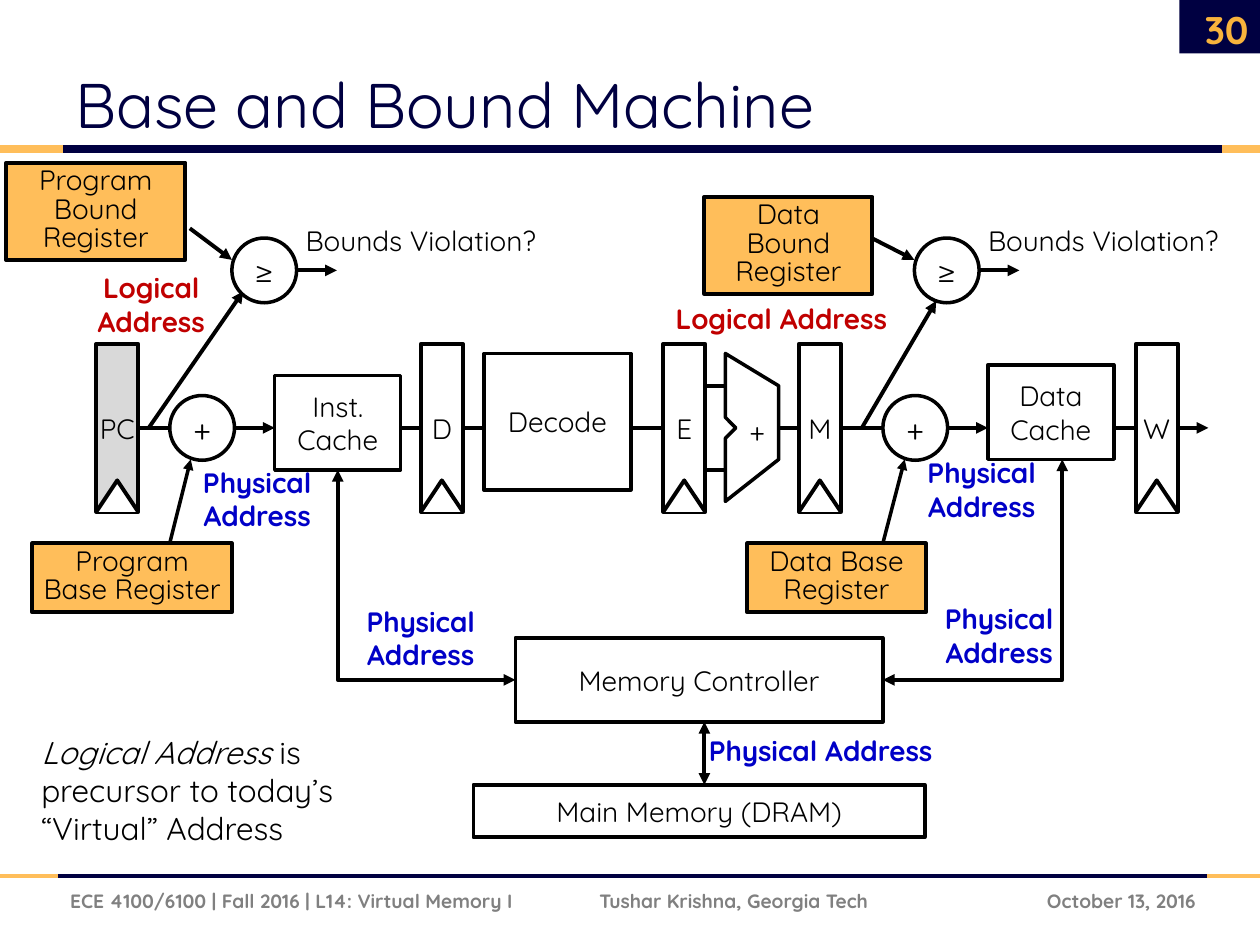
"""Build the Base and Bound Machine slide: a pipeline with address checks."""
from dataclasses import dataclass

from lxml.etree import SubElement
from pptx import Presentation
from pptx.dml.color import RGBColor
from pptx.enum.shapes import MSO_CONNECTOR, MSO_SHAPE
from pptx.enum.text import MSO_ANCHOR as ANCHOR, PP_ALIGN as ALIGN
from pptx.oxml.ns import qn
from pptx.util import Pt


@dataclass(frozen=True)
class Theme:
    font: str = "Quicksand"
    navy: str = "000041"
    gold: str = "FFBE5A"
    number: str = "F8B33C"
    black: str = "000000"
    white: str = "FFFFFF"
    gray: str = "D9D9D9"
    footer: str = "808080"
    logical: str = "C00000"
    physical: str = "0000C7"
    title_size: int = 36
    number_size: int = 22
    note_size: int = 18
    body_size: int = 16
    footer_size: int = 11
    thin: float = 2
    thick: float = 2.25
    rule: float = 4.5


T = Theme()
prs = Presentation()
prs.slide_width, prs.slide_height = Pt(720), Pt(540)
slide = prs.slides.add_slide(prs.slide_layouts[6])
shapes = slide.shapes


def node(at, runs=(), kind=None, fill=T.white, line=T.thin, size=T.body_size,
         color=T.black, bold=False, align=ALIGN.CENTER, anchor=ANCHOR.MIDDLE,
         wrap=True, inset=(7.2, 3.6), spacing=None, tab=None):
    box = [Pt(v) for v in at]
    if kind is None:
        item = shapes.add_textbox(*box)
    else:
        item = shapes.add_shape(kind, *box)
        item.shadow.inherit = False
        item.fill.solid()
        item.fill.fore_color.rgb = RGBColor.from_string(fill)
        if line:
            item.line.color.rgb = RGBColor.from_string(T.black)
            item.line.width = Pt(line)
        else:
            item.line.fill.background()
    frame = item.text_frame
    frame.word_wrap, frame.vertical_anchor = wrap, anchor
    frame.margin_left = frame.margin_right = Pt(inset[0])
    frame.margin_top = frame.margin_bottom = Pt(inset[1])
    paragraph = frame.paragraphs[0]
    paragraph.alignment = align
    if spacing:
        paragraph.line_spacing = spacing
    if tab:
        stops = SubElement(paragraph._p.get_or_add_pPr(), qn("a:tabLst"))
        SubElement(stops, qn("a:tab"), pos=str(Pt(tab)), algn="l")
    for words, italic in [(runs, False)] if isinstance(runs, str) else runs:
        run = paragraph.add_run()
        run.text = words
        run.font.name, run.font.size = T.font, Pt(size)
        run.font.bold, run.font.italic = bold, italic
        run.font.color.rgb = RGBColor.from_string(color)
    return item


def trace(points, ends="", color=T.black, width=T.thick, fill=None, close=False):
    points = [(Pt(x), Pt(y)) for x, y in points]
    if len(points) == 2:
        item = shapes.add_connector(MSO_CONNECTOR.STRAIGHT, *points[0], *points[1])
    else:
        builder = shapes.build_freeform(*points[0], scale=1.0)
        builder.add_line_segments(points[1:], close=close)
        item = builder.convert_to_shape()
        if fill:
            item.fill.solid()
            item.fill.fore_color.rgb = RGBColor.from_string(fill)
        else:
            item.fill.background()
    item.line.color.rgb = RGBColor.from_string(color)
    item.line.width = Pt(width)
    properties = item._element.spPr
    for end in ends.split():
        SubElement(properties.find(qn("a:ln")), qn(f"a:{end}End"), type="triangle")
    SubElement(properties, qn("a:effectLst"))
    return item


RECT, OVAL = MSO_SHAPE.RECTANGLE, MSO_SHAPE.OVAL
node((674, 0, 49, 30.5), kind=RECT, fill=T.navy, line=None)
for y, left, right, width in [(500.5, 33, 690, T.thick), (85, 36, 698.5, T.rule)]:
    for start, end, color in [(left, right, T.navy), (0, left, T.gold), (right, 720, T.gold)]:
        trace([(start, y), (end, y)], color=color, width=width)

node((36, 12, 589, 72), "Base and Bound Machine", size=T.title_size,
     color=T.navy, align=ALIGN.LEFT, anchor=ANCHOR.BOTTOM)
footer = dict(size=T.footer_size, color=T.footer, bold=True)
node((552, 500.5, 138.5, 29), "October 13, 2016", align=ALIGN.RIGHT, **footer)
node((33, 500.5, 535, 29),
     "ECE 4100/6100 | Fall 2016 | L14: Virtual Memory I\tTushar Krishna, Georgia Tech",
     align=ALIGN.LEFT, tab=302.5, **footer)
node((672.5, 2, 48, 29), "30", size=T.number_size, color=T.number, bold=True,
     align=ALIGN.RIGHT)

axis = 244.5
trace([(445, axis), (564.5, axis)], "tail")
trace([(636.5, axis), (690.5, axis)], "tail")
decode_wire = trace([(229, axis), (379, axis)])
fetch_wire = trace([(79, axis), (157, axis)], "tail")

registers = {}
for stage, left in [("PC", 55), ("D", 240.5), ("E", 379), ("M", 456.5), ("W", 649)]:
    registers[stage] = node((left, axis - 48, 24, 96), stage, RECT, line=T.thick,
                            fill=T.gray if stage == "PC" else T.white, wrap=False)
    trace([(left, axis + 48), (left + 12, axis + 30), (left + 24, axis + 48)],
          fill=T.white)
fetch_wire.begin_connect(registers["PC"], 3)
decode_wire.end_connect(registers["E"], 1)

for words, at in [("Inst. Cache", (157, 214.5, 72, 54)),
                  ("Decode", (276.5, 202, 84, 78)),
                  ("Data Cache", (564.5, 208.5, 72, 54)),
                  ("Main Memory (DRAM)", (270.5, 448.5, 258, 30)),
                  ("Memory Controller", (294.5, 364.5, 210, 48))]:
    node(at, words, RECT)

trace([(414.5, 202), (414.5, 238.5), (420.5, axis), (414.5, 250.5), (414.5, 286.5),
       (445, 262.5), (445, 220.5)], width=T.thin, fill=T.white, close=True)
for y in (axis - 24, axis + 24):
    trace([(403, y), (414.5, y)])
node((420.5, 232.5, 24.5, 27), "+", wrap=False)

trace([(607, 262.5), (607, 388.5), (504.5, 388.5)], "head tail")
trace([(193, 268.5), (193, 388.5), (294.5, 388.5)], "head tail")
trace([(402.5, 412.5), (402.5, 448.5)], "head tail")

for left, top, width, height in [(517, 256.5, 88, 46), (527, 340, 88, 46),
                                 (196.5, 341.5, 88, 46), (373, 415, 192, 27),
                                 (103, 262, 88, 46)]:
    node((left, top, width, height), "Physical Address", color=T.physical, bold=True)
for at in [(353, 168.5, 187, 27), (42.5, 151, 88, 46)]:
    node(at, "Logical Address", color=T.logical, bold=True)

for words, at in [("Data Bound Register", (402.5, 112.5, 96, 55.5)),
                  ("Data Base Register", (427, 310.5, 102, 39.5)),
                  ("Program Base Register", (18.5, 310.5, 114, 39.5)),
                  ("Program Bound Register", (3.5, 93, 102.5, 55.5))]:
    node(at, words, RECT, fill=T.gold, line=T.thick, anchor=ANCHOR.TOP,
         inset=(6, 3), spacing=0.85)

for adder, checker, base, tap, bound in [
        (97, 132.5, (97, 109), [(85, axis), (139, 166.5)], [(108.5, 130.5), (132.5, 148.5)]),
        (504.5, 522.5, (504.5, 517), [(492.5, axis), (535, 172)], [(499, 136.5), (522.5, 148.5)])]:
    node((adder, axis - 18.5, 37, 37), "+", OVAL, size=T.note_size, wrap=False)
    trace([(base[0], 310.5), (base[1], 262.5)], "tail", width=T.thin)
    trace(tap, "tail")
    trace(bound, "tail")
    trace([(checker + 36.5, 154.5), (checker + 60, 154.5)], "tail")
    node((checker, 136, 37, 37), "≥", OVAL, size=T.note_size, wrap=False)
    node((checker + 32.5, 124.5, 151, 25), "Bounds Violation?", wrap=False,
         anchor=ANCHOR.TOP, inset=(6, 3))

node((16.5, 415.5, 229, 73), [("Logical Address ", True),
     ("is precursor to today’s “Virtual” Address", False)],
     size=T.note_size, align=ALIGN.LEFT, anchor=ANCHOR.TOP)

prs.save("out.pptx")
